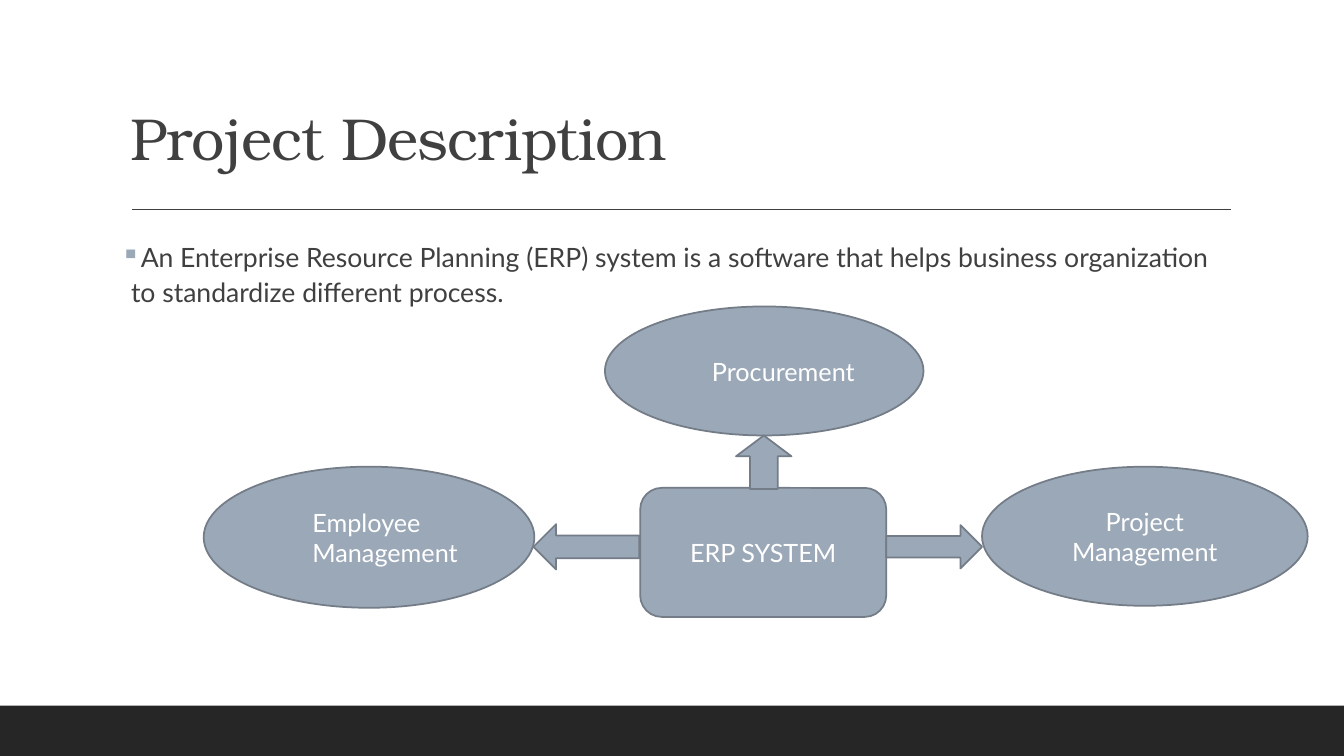
from dataclasses import dataclass

from lxml import etree
from pptx import Presentation
from pptx.dml.color import RGBColor
from pptx.enum.shapes import MSO_CONNECTOR, MSO_SHAPE as Preset
from pptx.enum.text import MSO_ANCHOR as Anchor, PP_ALIGN as Align
from pptx.oxml.ns import qn
from pptx.shapes.autoshape import Shape
from pptx.slide import Slide
from pptx.text.text import TextFrame, _Paragraph as Paragraph
from pptx.util import Inches, Pt

BODY_FONT = "Lato"
TITLE_FONT = "TeX Gyre Bonum"
INK = "404040"
FOOTER = "262626"
NODE_FILL = "9BA8B7"
NODE_LINE = "737C87"
WHITE = "FFFFFF"


@dataclass(frozen=True)
class Box:
    left: float
    top: float
    width: float
    height: float

    def lengths(self) -> list[Inches]:
        return [Inches(v) for v in (self.left, self.top, self.width, self.height)]


@dataclass(frozen=True)
class Node:
    label: str
    box: Box
    preset: Preset = Preset.OVAL
    indent: float = 0


@dataclass(frozen=True)
class Arrow:
    box: Box
    preset: Preset = Preset.RIGHT_ARROW
    rotation: int = 0
    adjustments: tuple[float, float] = (0.5, 0.5)


NODES = [
    Node("Employee Management", Box(2.02, 4.63, 3.28, 1.4), indent=0.5),
    Node("Procurement", Box(6, 3.04, 3.16, 1.28), indent=0.5),
    Node("Project Management", Box(9.74, 4.63, 3.23, 1.38)),
    Node("ERP SYSTEM", Box(6.35, 4.84, 2.44, 1.28), Preset.ROUNDED_RECTANGLE),
]
ARROWS = [
    Arrow(Box(8.79, 5.21, 0.95, 0.43)),
    Arrow(Box(7.3, 4.32, 0.55, 0.53), Preset.DOWN_ARROW, 180, (0.5, 0.39)),
    Arrow(Box(5.29, 5.2, 1.05, 0.45), rotation=180),
]


def color(value: str) -> RGBColor:
    return RGBColor.from_string(value)


def add_filled(slide: Slide, preset: Preset, box: Box, fill: str, line: str | None) -> Shape:
    shape = slide.shapes.add_shape(preset, *box.lengths())
    shape.shadow.inherit = False
    shape.fill.solid()
    shape.fill.fore_color.rgb = color(fill)
    if line:
        shape.line.color.rgb = color(line)
        shape.line.width = Pt(1.25)
    else:
        shape.line.fill.background()
    return shape


def write(frame: TextFrame, text: str, size: float, font: str, ink: str) -> Paragraph:
    frame.word_wrap = True
    frame.text = text
    paragraph = frame.paragraphs[0]
    run_font = paragraph.runs[0].font
    run_font.size = Pt(size)
    run_font.name = font
    run_font.color.rgb = color(ink)
    return paragraph


def set_indent(paragraph: Paragraph, left: float, first: float = 0) -> None:
    properties = paragraph._p.get_or_add_pPr()
    properties.set("marL", str(Inches(left)))
    properties.set("indent", str(Inches(first)))


def add_bullet(paragraph: Paragraph, mark: str, ink: str) -> None:
    properties = paragraph._p.get_or_add_pPr()
    bullet_color = etree.SubElement(properties, qn("a:buClr"))
    etree.SubElement(bullet_color, qn("a:srgbClr"), val=ink)
    etree.SubElement(properties, qn("a:buChar"), char=mark)


def add_node(slide: Slide, node: Node) -> None:
    shape = add_filled(slide, node.preset, node.box, NODE_FILL, NODE_LINE)
    frame = shape.text_frame
    frame.vertical_anchor = Anchor.MIDDLE
    label = write(frame, node.label, 18, BODY_FONT, WHITE)
    label.alignment = Align.LEFT if node.indent else Align.CENTER
    if node.indent:
        label.level = 1
        set_indent(label, node.indent)


def add_arrow(slide: Slide, arrow: Arrow) -> None:
    shape = add_filled(slide, arrow.preset, arrow.box, NODE_FILL, NODE_LINE)
    shape.rotation = arrow.rotation
    for index, value in enumerate(arrow.adjustments):
        shape.adjustments[index] = value


def add_title_rule(slide: Slide) -> None:
    ends = [Inches(v) for v in (1.31, 2.08, 12.21, 2.08)]
    rule = slide.shapes.add_connector(MSO_CONNECTOR.STRAIGHT, *ends)
    rule.line.color.rgb = color(INK)
    rule.line.width = Pt(1)
    etree.SubElement(rule._element.spPr, qn("a:effectLst"))


def add_title(slide: Slide) -> None:
    frame = slide.shapes.add_textbox(*Box(1.2, 0.57, 11, 1.66).lengths()).text_frame
    frame.vertical_anchor = Anchor.MIDDLE
    title = write(frame, "Project Description", 42.3, TITLE_FONT, INK)
    title.line_spacing = 0.9
    title.runs[0].font._element.set("spc", "-50")


def add_description(slide: Slide) -> None:
    frame = slide.shapes.add_textbox(*Box(1.2, 2.31, 11, 4.11).lengths()).text_frame
    frame.margin_left = frame.margin_right = 0
    description = write(
        frame,
        "An Enterprise Resource Planning (ERP) system is a software that helps "
        "business organization to standardize different process.",
        19, BODY_FONT, INK,
    )
    description.line_spacing = 1.1
    description.space_before = Pt(12)
    description.space_after = Pt(2)
    set_indent(description, 0.1, -0.1)
    add_bullet(description, "▪", NODE_FILL)


def main() -> None:
    deck = Presentation()
    deck.slide_width = Inches(13.33)
    deck.slide_height = Inches(7.5)
    slide = deck.slides.add_slide(deck.slide_layouts[6])
    add_filled(slide, Preset.RECTANGLE, Box(0, 7, 13.33, 0.5), FOOTER, None)
    add_title_rule(slide)
    add_title(slide)
    add_description(slide)
    for node in NODES:
        add_node(slide, node)
    for arrow in ARROWS:
        add_arrow(slide, arrow)
    deck.save("out.pptx")


if __name__ == "__main__":
    main()
